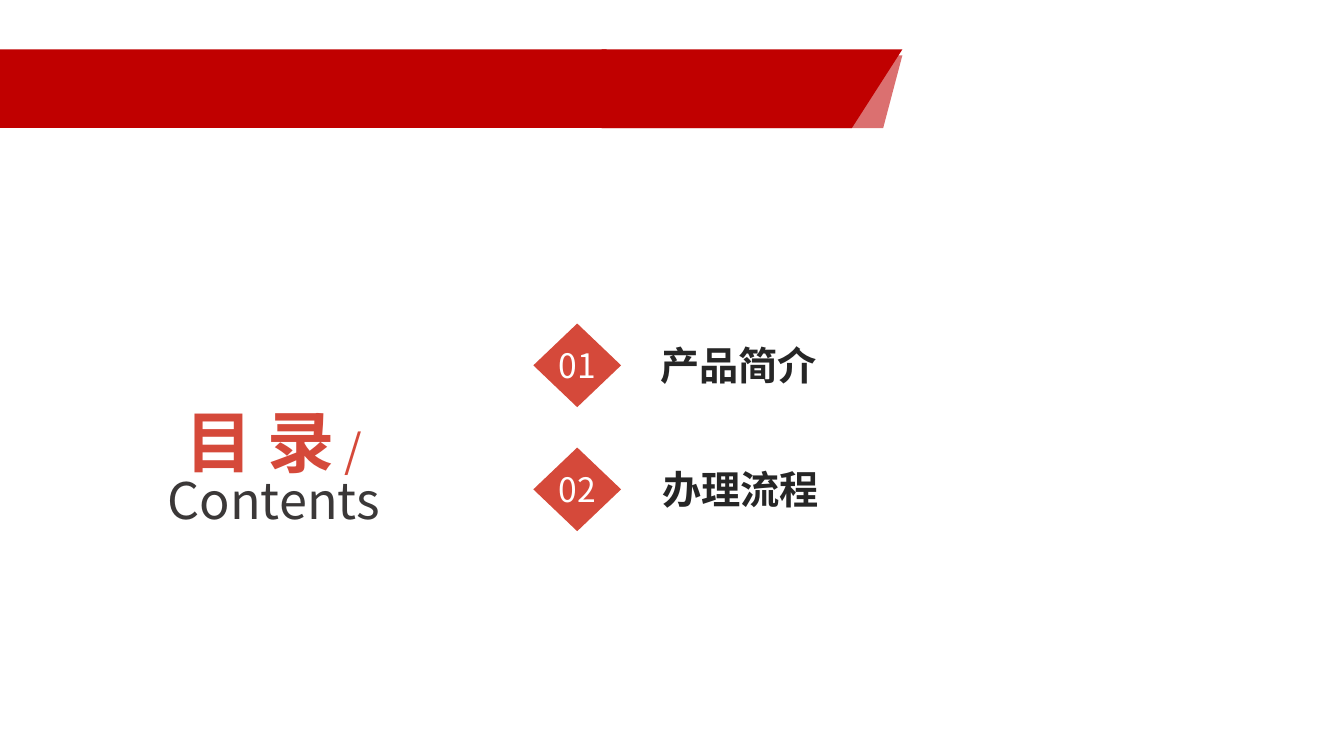
from pptx import Presentation
from pptx.dml.color import RGBColor as Rgb
from pptx.enum.shapes import MSO_SHAPE as Kind
from pptx.enum.text import MSO_ANCHOR as Anchor, PP_ALIGN as Align
from pptx.oxml.ns import qn
from pptx.util import Inches as In, Pt
from lxml.etree import SubElement as Sub

FACE = "Noto Sans CJK SC"
RED, CORAL, INK, GREY, WHITE = "C00000", "D5493A", "262626", "3B3838", "FFFFFF"


def style(font, size, color, bold=False):
    """Set the face, size, colour and weight of a font."""
    font.name, font.size, font.bold = FACE, Pt(size), bold
    font.color.rgb = Rgb.from_string(color)


def paint(shape, color, alpha=None):
    """Give a shape a flat fill without line or shadow."""
    shape.shadow.inherit = False
    shape.line.fill.background()
    shape.fill.solid()
    shape.fill.fore_color.rgb = Rgb.from_string(color)
    if alpha:
        tone = shape._element.spPr.find(qn("a:solidFill"))[0]
        Sub(tone, qn("a:alpha")).set("val", str(alpha * 1000))


def label(slide, x, y, w, h):
    """Add a wrapping text box and return its frame."""
    frame = slide.shapes.add_textbox(In(x), In(y), In(w), In(h)).text_frame
    frame.word_wrap = True
    return frame


def flag(group, x, y, w, h, cut, alpha=None):
    """Draw a block whose right side slants inwards by cut."""
    pen = group.shapes.build_freeform(In(x), In(y))
    pen.add_line_segments([(In(a), In(b)) for a, b in (
        (x + w, y), (x + w - cut, y + h), (x, y + h))])
    paint(pen.convert_to_shape(), RED, alpha)


def banner(slide, x, y, w, h):
    """Draw the red band with its slanted, layered end."""
    group = slide.shapes.add_group_shape()
    half = w * 2 / 3
    flag(group, x + half, y + 0.06, w - half, h - 0.06, 0.19, 56)
    bar = group.shapes.add_shape(Kind.RECTANGLE, In(x), In(y), In(half + 0.05), In(h))
    paint(bar, RED)
    flag(group, x + half, y, w - half, h, 0.5)


def title(slide, x, y, w, h):
    """Write the two-line heading."""
    para = label(slide, x, y, w, h).paragraphs[0]
    para.alignment, para.line_spacing = Align.CENTER, 0.8
    for text, size, color, bold in (("目 录", 48, CORAL, True),
                                    (" /", 32, CORAL, False),
                                    ("Contents", 36, GREY, False)):
        if color == GREY:
            para.add_line_break()
        run = para.add_run()
        run.text = text
        style(run.font, size, color, bold)


def entry(slide, x, y, w, h, num, name, gap):
    """Place a numbered diamond with its chapter name beside it."""
    gem = slide.shapes.add_shape(Kind.DIAMOND, In(x), In(y), In(w), In(h))
    paint(gem, CORAL)
    frame = gem.text_frame
    frame.margin_left = frame.margin_right = 0
    frame.vertical_anchor, frame.word_wrap = Anchor.MIDDLE, False
    para = frame.paragraphs[0]
    para.text, para.alignment = num, Align.CENTER
    style(para.font, 24, WHITE)
    para = label(slide, x + w + gap, y + 0.13, 3.94, 0.57).paragraphs[0]
    para.text = name
    style(para.font, 28, INK, True)


def main():
    """Build and save the contents slide."""
    deck = Presentation()
    deck.slide_width, deck.slide_height = In(13.33), In(7.5)
    slide = deck.slides.add_slide(deck.slide_layouts[6])
    title(slide, 0.61, 4.08, 4.21, 0.91)
    for row, (name, gap) in enumerate((("产品简介", 0.29), ("办理流程", 0.31))):
        entry(slide, 5.29, 3.21 + 1.23 * row, 0.87, 0.83, f"{row + 1:02}", name, gap)
    banner(slide, 0, 0.49, 8.95, 0.78)
    for latin in list(slide._element.iter(qn("a:latin"))):
        east = Sub(latin.getparent(), qn("a:ea"))
        east.set("typeface", FACE)
        latin.addnext(east)
    deck.save("out.pptx")


if __name__ == "__main__":
    main()
